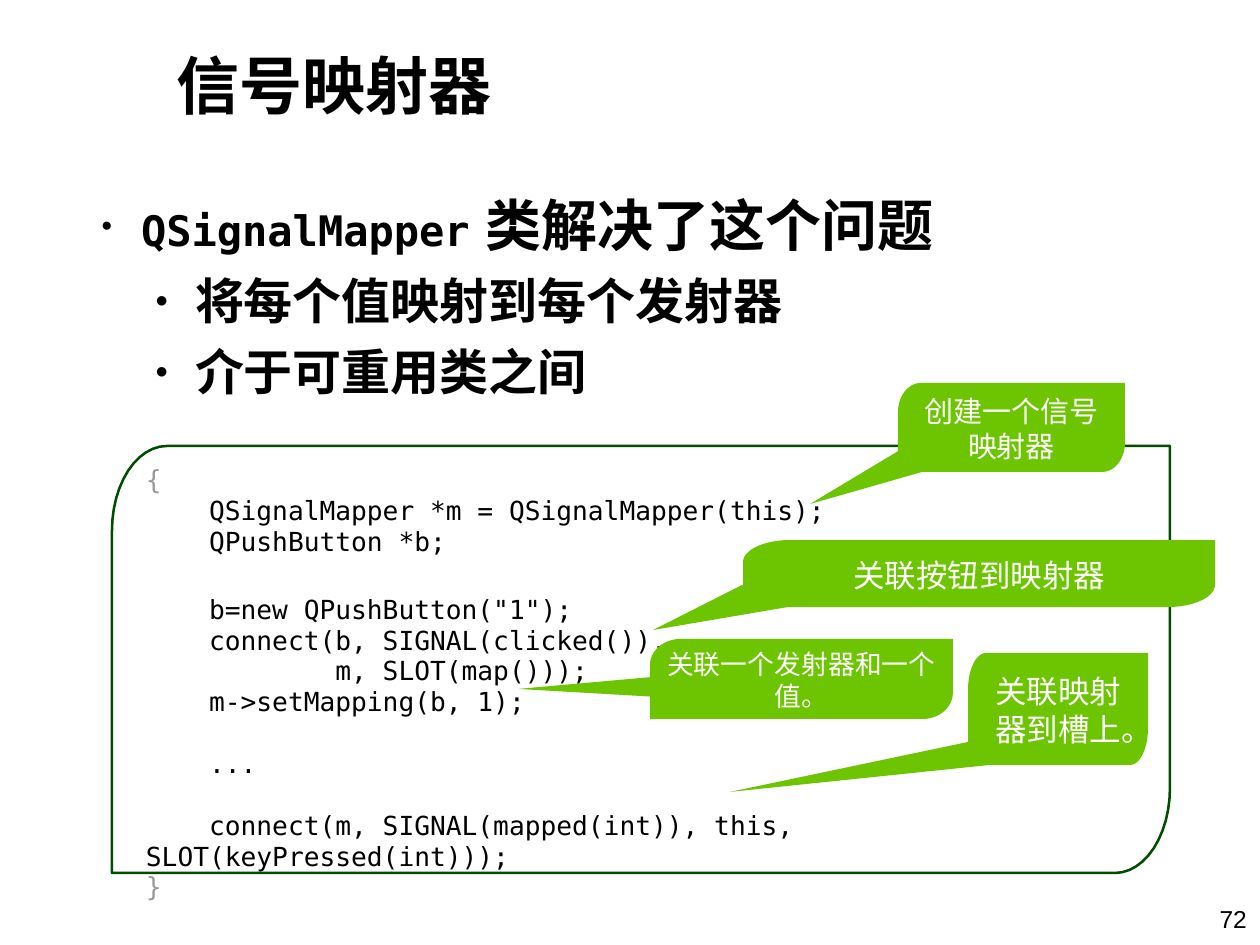
import math

from lxml import etree
from pptx import Presentation
from pptx import util as u
from pptx.dml.color import RGBColor
from pptx.enum import text
from pptx.oxml.ns import qn

# Content
TITLE = "信号映射器"
BULLETS = [  # level, runs of (wording, size, font)
    (0, [("QSignalMapper", 24, "DejaVu Sans Mono"), (" 类解决了这个问题", 32, "Arial")]),
    (1, [("将每个值映射到每个发射器", 28, "Arial")]),
    (1, [("介于可重用类之间", 28, "Arial")]),
]
CODE = """{
    QSignalMapper *m = QSignalMapper(this);
    QPushButton *b;

    b=new QPushButton("1");
    connect(b, SIGNAL(clicked()),
            m, SLOT(map()));
    m->setMapping(b, 1);

    ...

    connect(m, SIGNAL(mapped(int)), this, SLOT(keyPressed(int)));
}""".split("\n")
TALL_BLANK_LINE = 3
CALLOUTS = [  # wording, size, bubble box, tail corners
    ("创建一个信号映射器", 16.6, (898, 383, 227, 89), [(922, 472), (810, 504), (900, 450)]),
    ("关联按钮到映射器", 18, (743, 540, 472, 67), [(653, 630), (742, 585), (788, 607)]),
    ("关联一个发射器和一个值。", 15.3, (650, 639, 303, 80), [(518, 689), (675, 675), (675, 698)]),
    ("关联映射器到槽上。", 18, (968, 653, 180, 112), [(968, 742), (990, 765), (730, 792)]),
]
PAGE_NUMBER = "72"

BLACK = RGBColor(0x00, 0x00, 0x00)
WHITE = RGBColor(0xFF, 0xFF, 0xFF)
GRAY = RGBColor(0x99, 0x99, 0x99)
GREEN = RGBColor(0x6D, 0xC4, 0x00)
DARK_GREEN = RGBColor(0x00, 0x4C, 0x00)
PX_PER_INCH = 126


def px(value):
    return u.Emu(round(value * 914400 / PX_PER_INCH))


def place(shape, box):
    shape.left, shape.top, shape.width, shape.height = map(px, box)


def format_frame(frame, insets, anchor=text.MSO_ANCHOR.TOP):
    frame.word_wrap = True
    frame.auto_size = text.MSO_AUTO_SIZE.NONE
    frame.vertical_anchor = anchor
    (frame.margin_left, frame.margin_top,
     frame.margin_right, frame.margin_bottom) = map(px, insets)


def format_run(run, size, color, font="Arial", bold=False):
    run.font.size = u.Pt(size)
    run.font.color.rgb = color
    run.font.name = font
    run.font.bold = bold


def add_bullet(paragraph, level):
    properties = paragraph._p.get_or_add_pPr()
    properties.set("marL", str(px(108 if level else 54)))
    properties.set("indent", str(-px(40)))
    color = etree.SubElement(properties, qn("a:buClr"))
    etree.SubElement(color, qn("a:srgbClr"), val=str(BLACK))
    etree.SubElement(properties, qn("a:buSzPct"), val="45000")
    etree.SubElement(properties, qn("a:buChar"), char="●")


def leaf_points(box, corner_width, corner_height, steps=12):
    """Box with rounded top left and bottom right corners."""
    left, top, width, height = box
    arc = [(corner_width * math.cos(i * math.pi / 2 / steps),
            corner_height * math.sin(i * math.pi / 2 / steps)) for i in range(steps + 1)]
    right, bottom = left + width, top + height
    top_left = [(left + corner_width - x, top + corner_height - y) for x, y in arc]
    bottom_right = [(right - corner_width + x, bottom - corner_height + y) for x, y in arc]
    return top_left + [(right, top)] + bottom_right + [(left, bottom)]


def add_outline(shape_tree, points, fill=None, line=None):
    corners = [(px(x), px(y)) for x, y in points]
    builder = shape_tree.build_freeform(*corners[0])
    builder.add_line_segments(corners[1:], close=True)
    shape = builder.convert_to_shape()
    shape.shadow.inherit = False
    if fill is None:
        shape.fill.background()
    else:
        shape.fill.solid()
        shape.fill.fore_color.rgb = fill
    if line is None:
        shape.line.fill.background()
    else:
        shape.line.color.rgb = line
        shape.line.width = u.Pt(1.45)
    return shape


def add_text_box(shape_tree, box, insets):
    shape = shape_tree.add_textbox(*map(px, box))
    format_frame(shape.text_frame, insets)
    return shape.text_frame


def main():
    presentation = Presentation()
    presentation.slide_width, presentation.slide_height = u.Inches(10), u.Inches(7.5)
    slide = presentation.slides.add_slide(presentation.slide_layouts[1])
    shape_tree = slide.shapes

    # Title
    title = shape_tree.title
    place(title, (164, 6, 819, 158))
    format_frame(title.text_frame, (13, 5, 13, 6), text.MSO_ANCHOR.MIDDLE)
    title.text_frame.text = TITLE
    paragraph = title.text_frame.paragraphs[0]
    paragraph.alignment = text.PP_ALIGN.LEFT
    format_run(paragraph.runs[0], 36, BLACK, bold=True)

    # Bullet list
    body = slide.placeholders[1]
    place(body, (74, 185, 1134, 612))
    format_frame(body.text_frame, (13, 6, 13, 6))
    for index, (level, runs) in enumerate(BULLETS):
        paragraph = body.text_frame.add_paragraph() if index else body.text_frame.paragraphs[0]
        paragraph.level = level
        add_bullet(paragraph, level)
        paragraph.space_before = u.Pt(7 if index else 0)
        for wording, size, font in runs:
            run = paragraph.add_run()
            run.text = wording
            format_run(run, size, BLACK, font, bold=True)

    # Code in its frame
    add_outline(shape_tree, leaf_points((112, 446, 1058, 427), 55, 85), line=DARK_GREEN)
    code_frame = add_text_box(shape_tree, (135, 459, 1034, 553), (11, 6, 11, 5))
    code_frame.text = "\n".join(CODE)
    for index, paragraph in enumerate(code_frame.paragraphs):
        paragraph.line_spacing = 0.98
        for run in paragraph.runs:
            format_run(run, 15, GRAY if run.text in "{}" else BLACK, "DejaVu Sans Mono")
        if not paragraph.runs:
            end = etree.SubElement(paragraph._p, qn("a:endParaRPr"))
            end.set("sz", "1800" if index == TALL_BLANK_LINE else "1500")
            etree.SubElement(end, qn("a:latin"), typeface="DejaVu Sans Mono")

    # Callouts: tail, then bubble
    for wording, size, box, tail in CALLOUTS:
        add_outline(shape_tree, tail, fill=GREEN)
        corners = box[2] * 0.1, box[3] * 0.33
        bubble = add_outline(shape_tree, leaf_points(box, *corners), fill=GREEN)
        format_frame(bubble.text_frame, (14, 10, 14, 8), text.MSO_ANCHOR.MIDDLE)
        bubble.text_frame.text = wording
        paragraph = bubble.text_frame.paragraphs[0]
        paragraph.alignment = text.PP_ALIGN.CENTER
        format_run(paragraph.runs[0], size, WHITE)

    # Page number
    number_frame = add_text_box(shape_tree, (1057, 898, 203, 47), (13, 6, 13, 6))
    number_frame.text = PAGE_NUMBER
    paragraph = number_frame.paragraphs[0]
    paragraph.alignment = text.PP_ALIGN.RIGHT
    format_run(paragraph.runs[0], 14, BLACK)

    presentation.save("out.pptx")


if __name__ == "__main__":
    main()
